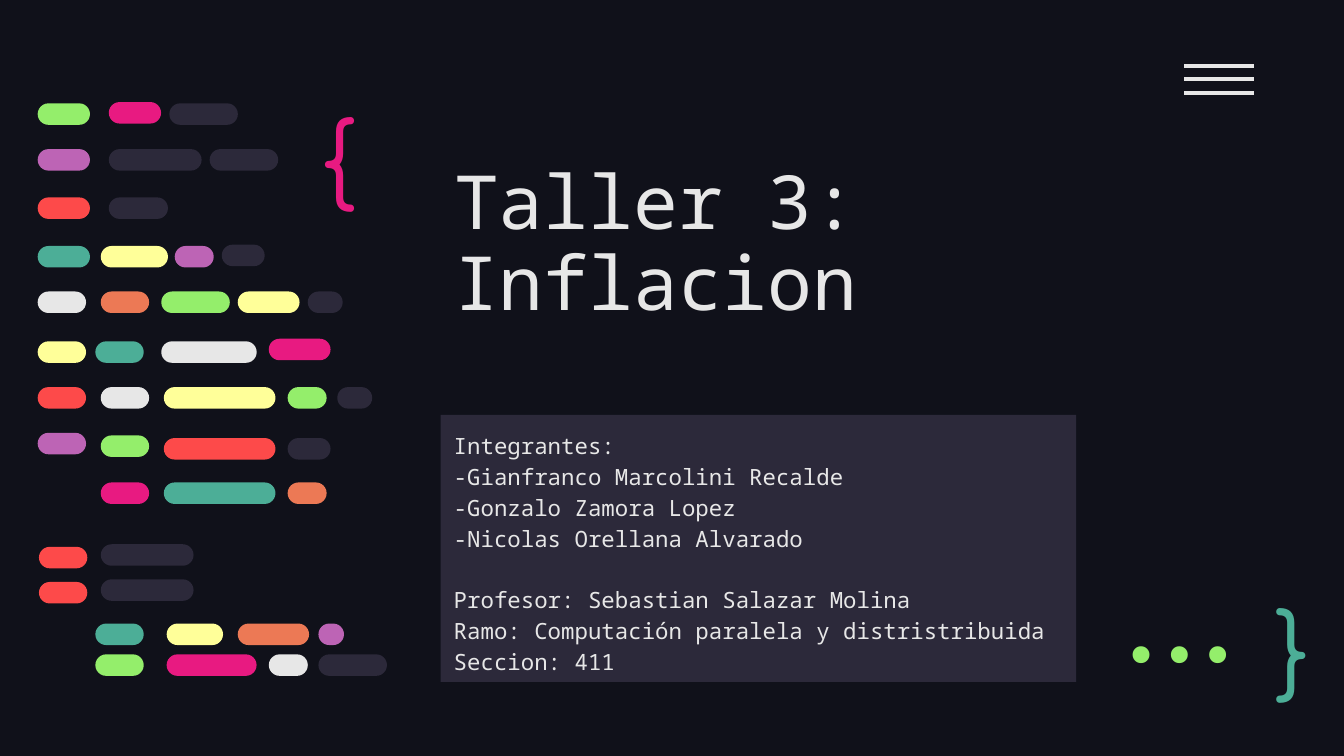
import dataclasses

import lxml.etree
import pptx
import pptx.dml.color
import pptx.enum.shapes
import pptx.enum.text
import pptx.oxml.ns
import pptx.util

Pt = pptx.util.Pt
Anchor = pptx.enum.text.MSO_ANCHOR
Align = pptx.enum.text.PP_ALIGN
Shape = pptx.enum.shapes.MSO_SHAPE


@dataclasses.dataclass(frozen=True)
class Theme:
    night: str = "10111A"
    slate: str = "2C293A"
    white: str = "E7E7E7"
    pink: str = "E81A81"
    green: str = "94EE6B"
    purple: str = "BD64B5"
    red: str = "FD4A4A"
    teal: str = "4CAE97"
    yellow: str = "FFFF99"
    orange: str = "EC7955"
    body_font: str = "Noto Sans Mono"
    brace_font: str = "Comfortaa"
    dots_font: str = "Fira Code"
    title_size: float = 40
    body_size: float = 12
    symbol_size: float = 50
    inset: float = 7.2
    rule_width: float = 2.25
    pill_height: float = 11.5


def rgb(colour):
    return pptx.dml.color.RGBColor.from_string(colour)


class SlideBuilder:
    def __init__(self, slide, theme):
        self.slide = slide
        self.theme = theme
        slide.background.fill.solid()
        slide.background.fill.fore_color.rgb = rgb(theme.night)

    def text(self, lines, left, top, width, height, size, font, colour,
             anchor=Anchor.TOP, align=Align.LEFT, spacing=1.0, fill=None, gaps=None):
        box = self.slide.shapes.add_textbox(Pt(left), Pt(top), Pt(width), Pt(height))
        if fill:
            box.fill.solid()
            box.fill.fore_color.rgb = rgb(fill)
        frame = box.text_frame
        frame.word_wrap = True
        frame.vertical_anchor = anchor
        frame.margin_left = frame.margin_right = Pt(self.theme.inset)
        frame.margin_top = frame.margin_bottom = Pt(self.theme.inset)
        for index, line in enumerate(lines):
            para = frame.add_paragraph() if index else frame.paragraphs[0]
            para.alignment = align
            para.line_spacing = spacing
            if gaps and index in gaps:
                para.space_before = Pt(gaps[index])
            span = para.add_run()
            span.text = line
            span.font.size = Pt(size)
            span.font.name = font
            span.font.color.rgb = rgb(colour)

    def menu(self, left, right, tops):
        group = self.slide.shapes.add_group_shape()
        for top in tops:
            rule = group.shapes.add_connector(
                pptx.enum.shapes.MSO_CONNECTOR.STRAIGHT,
                Pt(left), Pt(top), Pt(right), Pt(top))
            rule.line.color.rgb = rgb(self.theme.white)
            rule.line.width = Pt(self.theme.rule_width)
            lxml.etree.SubElement(rule._element.spPr, pptx.oxml.ns.qn("a:effectLst"))

    def code_pills(self, rows):
        group = self.slide.shapes.add_group_shape()
        for top, pills in rows:
            for left, width, colour, *shift in pills:
                pill = group.shapes.add_shape(
                    Shape.ROUNDED_RECTANGLE, Pt(left), Pt(top + sum(shift)),
                    Pt(width), Pt(self.theme.pill_height))
                pill.adjustments[0] = 0.5
                pill.shadow.inherit = False
                pill.fill.solid()
                pill.fill.fore_color.rgb = rgb(colour)
                pill.line.fill.background()


def main():
    deck = pptx.Presentation()
    deck.slide_width, deck.slide_height = Pt(720), Pt(405)
    theme = Theme()
    page = SlideBuilder(deck.slides.add_slide(deck.slide_layouts[6]), theme)

    page.text(["Taller 3: Inflacion"], 236.2, 69.8, 237.6, 112.3,
              theme.title_size, theme.body_font, theme.white,
              anchor=Anchor.BOTTOM, spacing=0.9)
    members = [
        "Integrantes:",
        "-Gianfranco Marcolini Recalde",
        "-Gonzalo Zamora Lopez",
        "-Nicolas Orellana Alvarado",
        "Profesor: Sebastian Salazar Molina",
        "Ramo: Computación paralela y distristribuida",
        "Seccion: 411",
    ]
    page.text(members, 236, 222.3, 340.5, 143, theme.body_size, theme.body_font,
              theme.white, spacing=1.15, fill=theme.slate, gaps={4: 16.4})
    page.text(["{"], 164.9, 44.6, 55.4, 68.4,
              theme.symbol_size, theme.brace_font, theme.pink)
    page.text(["}"], 676.1, 315.4, 41, 59.8,
              theme.symbol_size, theme.brace_font, theme.teal, anchor=Anchor.MIDDLE)
    page.text(["..."], 576.7, 329, 108.7, 43.2, theme.symbol_size, theme.dots_font,
              theme.green, anchor=Anchor.BOTTOM, align=Align.RIGHT)
    page.menu(634.5, 672, [35.3 + 7.2 * step for step in range(3)])

    page.code_pills([
        (55.4, [(20.2, 28, theme.green), (58.3, 28, theme.pink, -0.7),
                (90.7, 36.7, theme.slate)]),
        (79.9, [(20.2, 28, theme.purple), (58.3, 49.7, theme.slate),
                (112.3, 36.7, theme.slate)]),
        (105.8, [(20.2, 28, theme.red), (58.3, 31.7, theme.slate)]),
        (131.8, [(20.2, 28, theme.teal), (54, 36, theme.yellow),
                 (93.6, 20.9, theme.purple), (118.8, 23, theme.slate, -0.7)]),
        (156.2, [(20.2, 25.9, theme.white), (54, 25.9, theme.orange),
                 (86.4, 36.7, theme.green), (127.4, 33.1, theme.yellow),
                 (164.9, 18.7, theme.slate)]),
        (182.9, [(20.2, 25.9, theme.yellow), (51.1, 25.9, theme.teal),
                 (86.4, 51.1, theme.white), (144, 33.1, theme.pink, -1.4)]),
        (207.4, [(20.2, 25.9, theme.red), (54, 25.9, theme.white),
                 (87.8, 59.8, theme.yellow), (154.1, 20.9, theme.green),
                 (180.7, 18.7, theme.slate)]),
        (233.3, [(20.2, 25.9, theme.purple, -1.4), (54, 25.9, theme.green),
                 (87.8, 59.8, theme.red, 1.4), (154.1, 23, theme.slate, 1.4)]),
        (258.5, [(54, 25.9, theme.pink), (87.8, 59.8, theme.teal),
                 (154.1, 20.9, theme.orange)]),
        (293, [(20.9, 25.9, theme.red), (54, 49.7, theme.slate, -1.4)]),
        (311.8, [(20.9, 25.9, theme.red), (54, 49.7, theme.slate, -1.4)]),
        (334.1, [(51.1, 25.9, theme.teal), (89.3, 30.2, theme.yellow),
                 (127.4, 38.2, theme.orange), (170.6, 13.7, theme.purple)]),
        (350.6, [(51.1, 25.9, theme.green), (89.3, 48.2, theme.pink),
                 (144, 20.9, theme.white), (170.6, 36.7, theme.slate)]),
    ])
    deck.save("out.pptx")


if __name__ == "__main__":
    main()
